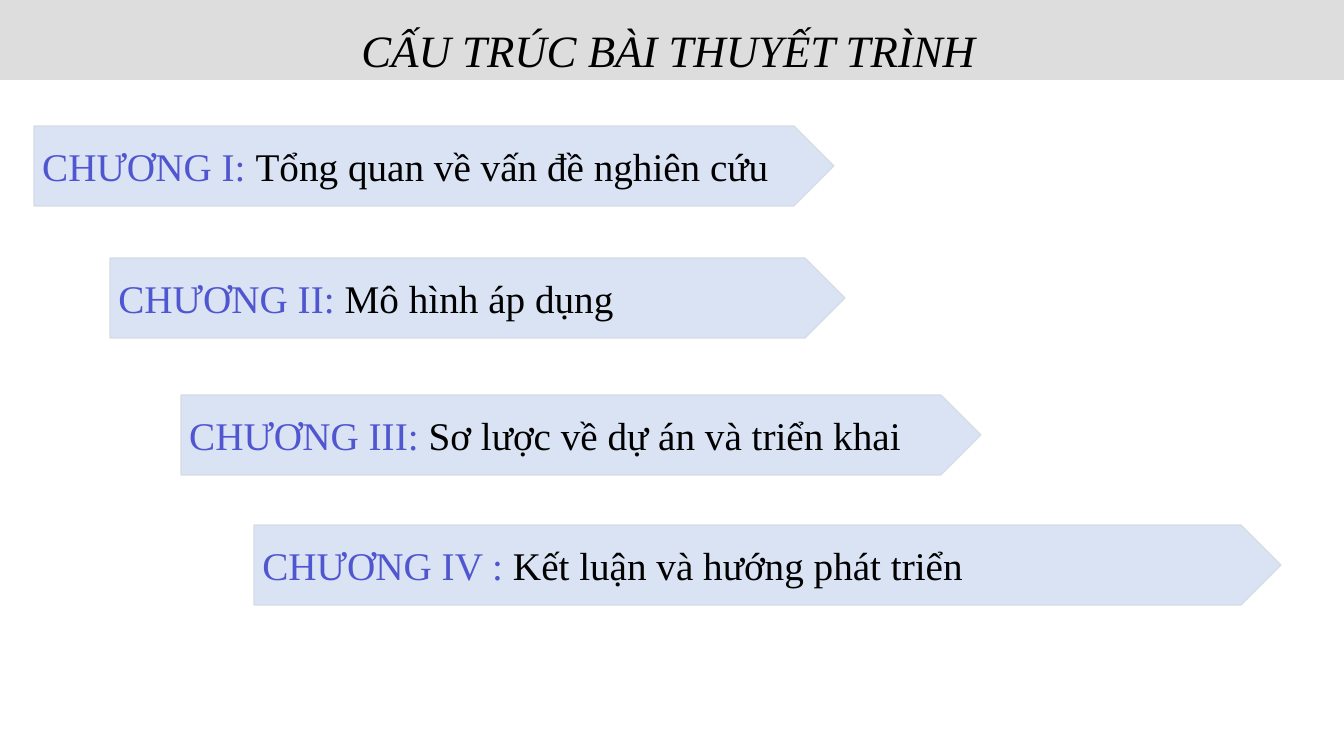
"""Builds the outline slide of a presentation: a title band and four chapter arrows."""
import pptx
import pptx.dml.color
import pptx.enum.shapes
import pptx.enum.text
import pptx.util

SCALE = 914400 / 84
COLOURS = {
    "band": "DDDDDD",
    "arrow": "DAE3F3",
    "edge": "D6DCE5",
    "chapter": "5056D0",
    "text": "000000",
}
FONT = "Times New Roman"
ARROW_HEIGHT = 80
CHAPTERS = [
    (34, 126, 800, "CHƯƠNG I: ", "Tổng quan về vấn đề nghiên cứu"),
    (110, 258, 735, "CHƯƠNG II: ", "Mô hình áp dụng"),
    (181, 395, 800, "CHƯƠNG III: ", "Sơ lược về dự án và triển khai"),
    (254, 525, 1027, "CHƯƠNG IV : ", "Kết luận và hướng phát triển"),
]


def px(length):
    """Turn pixels into EMU."""
    return pptx.util.Emu(round(length * SCALE))


def colour(name):
    """Look up a named colour."""
    return pptx.dml.color.RGBColor.from_string(COLOURS[name])


def set_values(target, values):
    """Set every attribute in a dict of format values."""
    for name, value in values.items():
        setattr(target, name, value)


def add_span(para, text, size, colour_name, italic=False):
    """Append a formatted run to a paragraph."""
    span = para.add_run()
    span.text = text
    set_values(span.font, {"name": FONT, "size": pptx.util.Pt(size), "italic": italic})
    span.font.color.rgb = colour(colour_name)


def add_box(page, kind, place, fill):
    """Add a flat filled shape without an outline."""
    box = page.shapes.add_shape(kind, *map(px, place))
    box.shadow.inherit = False
    box.fill.solid()
    box.fill.fore_color.rgb = colour(fill)
    box.line.fill.background()
    return box


def add_title(page, text):
    """Place the title on its grey band."""
    band = add_box(page, pptx.enum.shapes.MSO_SHAPE.RECTANGLE, (0, 0, 1344, 80), "band")
    title = page.shapes.title
    title.element.addprevious(band.element)
    set_values(title, {"left": px(353), "top": px(18), "width": px(638), "height": px(63)})
    set_values(title.text_frame, {
        "word_wrap": False,
        "auto_size": pptx.enum.text.MSO_AUTO_SIZE.SHAPE_TO_FIT_TEXT,
        "vertical_anchor": pptx.enum.text.MSO_ANCHOR.TOP,
    })
    para = title.text_frame.paragraphs[0]
    para.alignment = pptx.enum.text.PP_ALIGN.LEFT
    add_span(para, text, 38.4, "text", italic=True)


def add_chapter(page, left, top, width, label, topic):
    """Add an arrow that names one chapter."""
    arrow = add_box(page, pptx.enum.shapes.MSO_SHAPE.PENTAGON,
                    (left, top, width, ARROW_HEIGHT), "arrow")
    arrow.line.color.rgb = colour("edge")
    arrow.line.width = pptx.util.Pt(1)
    set_values(arrow.text_frame, {
        "word_wrap": True,
        "vertical_anchor": pptx.enum.text.MSO_ANCHOR.MIDDLE,
    })
    para = arrow.text_frame.paragraphs[0]
    para.alignment = pptx.enum.text.PP_ALIGN.LEFT
    add_span(para, label, 33.6, "chapter")
    add_span(para, topic, 33.6, "text")


def main():
    """Build and save the deck."""
    deck = pptx.Presentation()
    set_values(deck, {"slide_width": px(1344), "slide_height": px(756)})
    page = deck.slides.add_slide(deck.slide_layouts[5])
    add_title(page, "CẤU TRÚC BÀI THUYẾT TRÌNH")
    for chapter in CHAPTERS:
        add_chapter(page, *chapter)
    deck.save("out.pptx")


if __name__ == "__main__":
    main()
